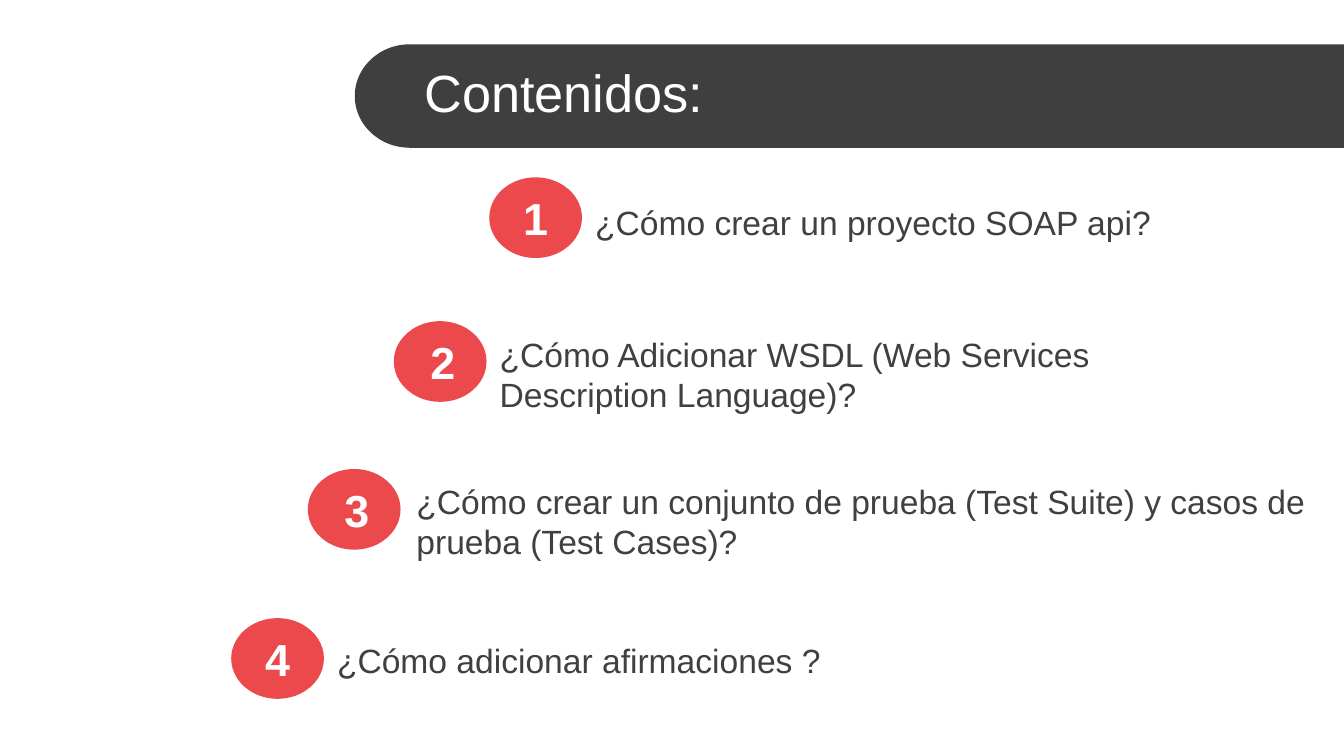
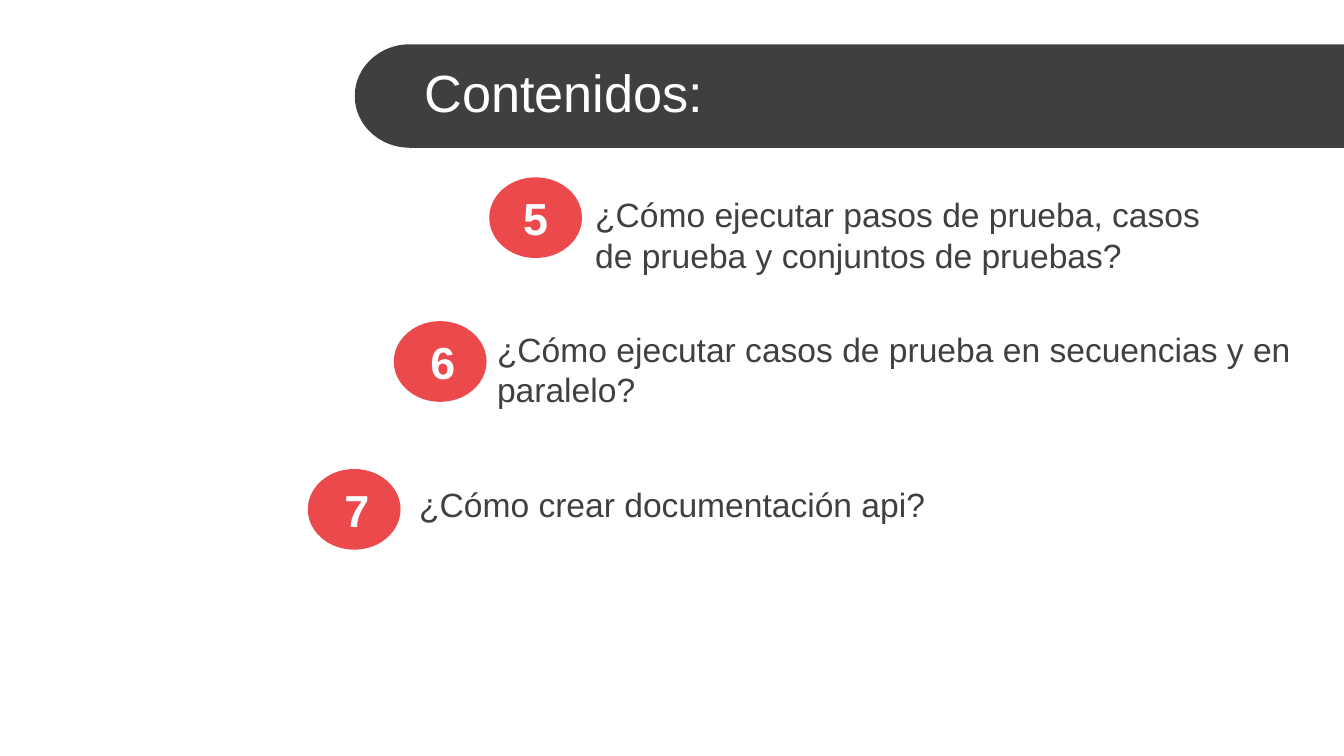
from math import cos, pi, sin

from pptx import Presentation
from pptx import util as u
from pptx.dml import color
from pptx.enum import shapes, text

FONT = "Arial"
WHITE, BAND, BADGE, INK = "FFFFFF", "3F3F3F", "EB494B", "404040"
TITLE = "Contenidos:"
TITLE_BOX = (2.64, 0.33, 7.36, 0.77)
BADGE_W, BADGE_H = 0.69, 0.6
STEPS = [(3.64, 1.32, 0), (2.93, 2.39, 0.02), (2.29, 3.49, 0.02), (1.72, 4.6, 0)]
ONE_LINE, TWO_LINES = 0.4, 0.71

# Each question: wording, offset from its badge, width and height.
AGENDAS = [
    [
        ("¿Cómo crear un proyecto SOAP api?", 0.69, 0.13, 5.04, ONE_LINE),
        ("¿Cómo Adicionar WSDL (Web Services\nDescription Language)?",
         0.69, 0.04, 6.66, TWO_LINES),
        ("¿Cómo crear un conjunto de prueba (Test Suite) y casos de prueba (Test Cases)?",
         0.71, 0.03, 7.22, TWO_LINES),
        ("¿Cómo adicionar afirmaciones ?", 0.69, 0.11, 5.04, ONE_LINE),
    ],
    [
        ("¿Cómo ejecutar pasos de prueba, casos de prueba y conjuntos de pruebas?",
         0.69, 0.07, 5.04, TWO_LINES),
        ("¿Cómo ejecutar casos de prueba en secuencias y en paralelo?",
         0.67, 0, 6.66, TWO_LINES),
        ("¿Cómo crear documentación api?", 0.73, 0.06, 7.22, ONE_LINE),
    ],
]


def rgb(value):
    """Return the colour for a hex string."""
    return color.RGBColor.from_string(value)


def paint(shape, fill):
    """Give a shape a flat fill without line or shadow."""
    shape.shadow.inherit = False
    shape.fill.solid()
    shape.fill.fore_color.rgb = rgb(fill)
    shape.line.fill.background()


def add_text(slide, wording, box, size=18, ink=INK, bold=False,
             align=text.PP_ALIGN.LEFT, grow=True):
    """Write wording in a box, one paragraph for each line."""
    frame = slide.shapes.add_textbox(*map(u.Inches, box)).text_frame
    frame.word_wrap = True
    frame.vertical_anchor = text.MSO_ANCHOR.MIDDLE
    frame.auto_size = (text.MSO_AUTO_SIZE.SHAPE_TO_FIT_TEXT if grow
                       else text.MSO_AUTO_SIZE.NONE)
    frame.text = wording
    for paragraph in frame.paragraphs:
        paragraph.alignment = align
        for run in paragraph.runs:
            run.font.name = FONT
            run.font.size = u.Pt(size)
            run.font.bold = bold
            run.font.color.rgb = rgb(ink)


def add_title_band(slide, box):
    """Draw the band with its round left end and the title on it."""
    left, top, width, height = box
    radius_x, radius_y, steps = 0.41, height / 2, 48
    angles = [pi * (0.5 + step / steps) for step in range(steps + 1)]
    outline = [(left + radius_x * (1 + cos(a)), top + radius_y * (1 + sin(a)))
               for a in angles]
    outline += [(left + width, top), (left + width, top + height)]
    points = [(u.Inches(x), u.Inches(y)) for x, y in outline]
    builder = slide.shapes.build_freeform(*points[0])
    builder.add_line_segments(points[1:], close=True)
    paint(builder.convert_to_shape(), BAND)
    add_text(slide, TITLE, (left + 0.42, top + 0.04, width - 0.42, 0.63),
             size=28, ink=WHITE, grow=False)


def add_question(slide, number, step, question):
    """Place a numbered badge and its question on one step of the stair."""
    left, top, shift = step
    wording, dx, dy, width, height = question
    badge_box = map(u.Inches, (left, top, BADGE_W, BADGE_H))
    badge = slide.shapes.add_shape(shapes.MSO_SHAPE.OVAL, *badge_box)
    paint(badge, BADGE)
    add_text(slide, str(number), (left + shift, top + 0.05, BADGE_W, 0.5),
             size=24, ink=WHITE, bold=True, align=text.PP_ALIGN.CENTER)
    add_text(slide, wording, (left + dx, top + dy, width, height))


def add_agenda(deck, first_number, questions):
    """Add one contents slide with its stair of questions."""
    slide = deck.slides.add_slide(deck.slide_layouts[6])
    slide.background.fill.solid()
    slide.background.fill.fore_color.rgb = rgb(WHITE)
    add_title_band(slide, TITLE_BOX)
    for number, (step, question) in enumerate(zip(STEPS, questions), first_number):
        add_question(slide, number, step, question)


def main():
    """Build and save the deck."""
    deck = Presentation()
    deck.slide_width = u.Inches(10)
    deck.slide_height = u.Inches(10 * 9 / 16)
    first_number = 1
    for questions in AGENDAS:
        add_agenda(deck, first_number, questions)
        first_number += len(questions)
    deck.save("out.pptx")


if __name__ == "__main__":
    main()
